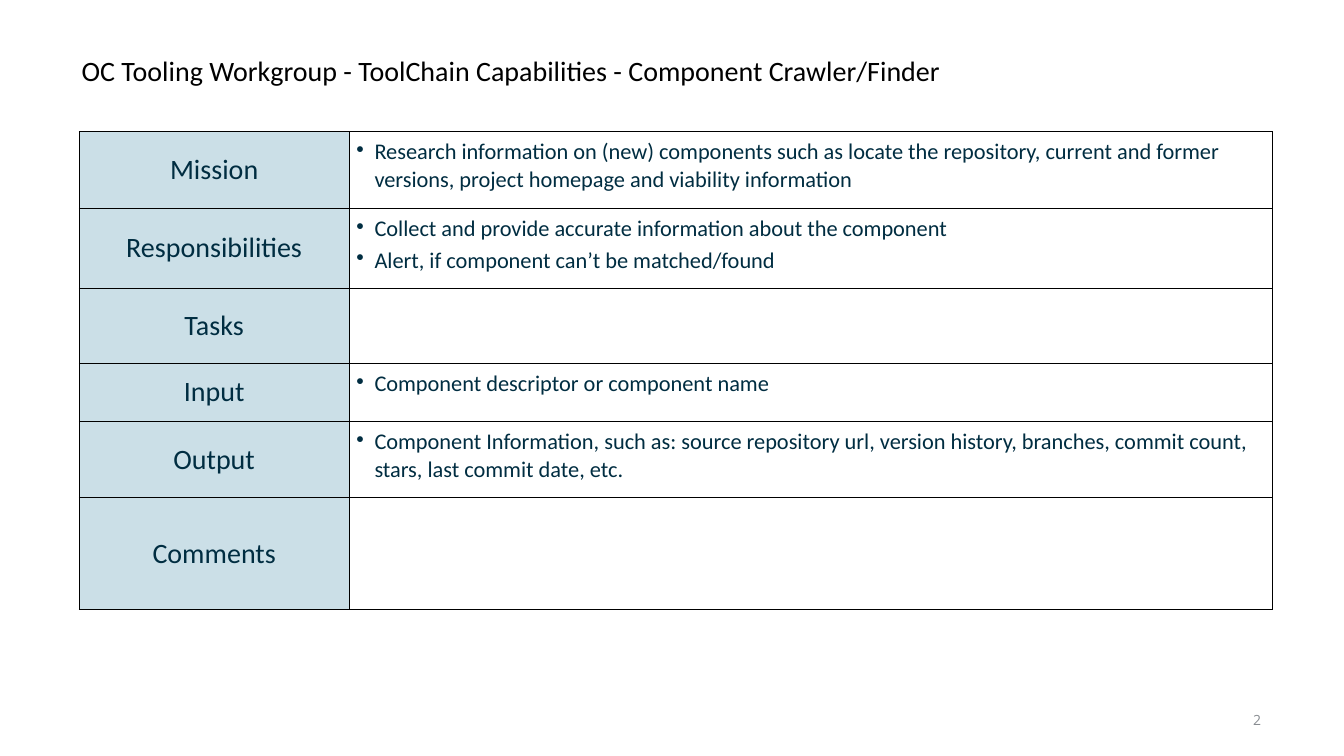
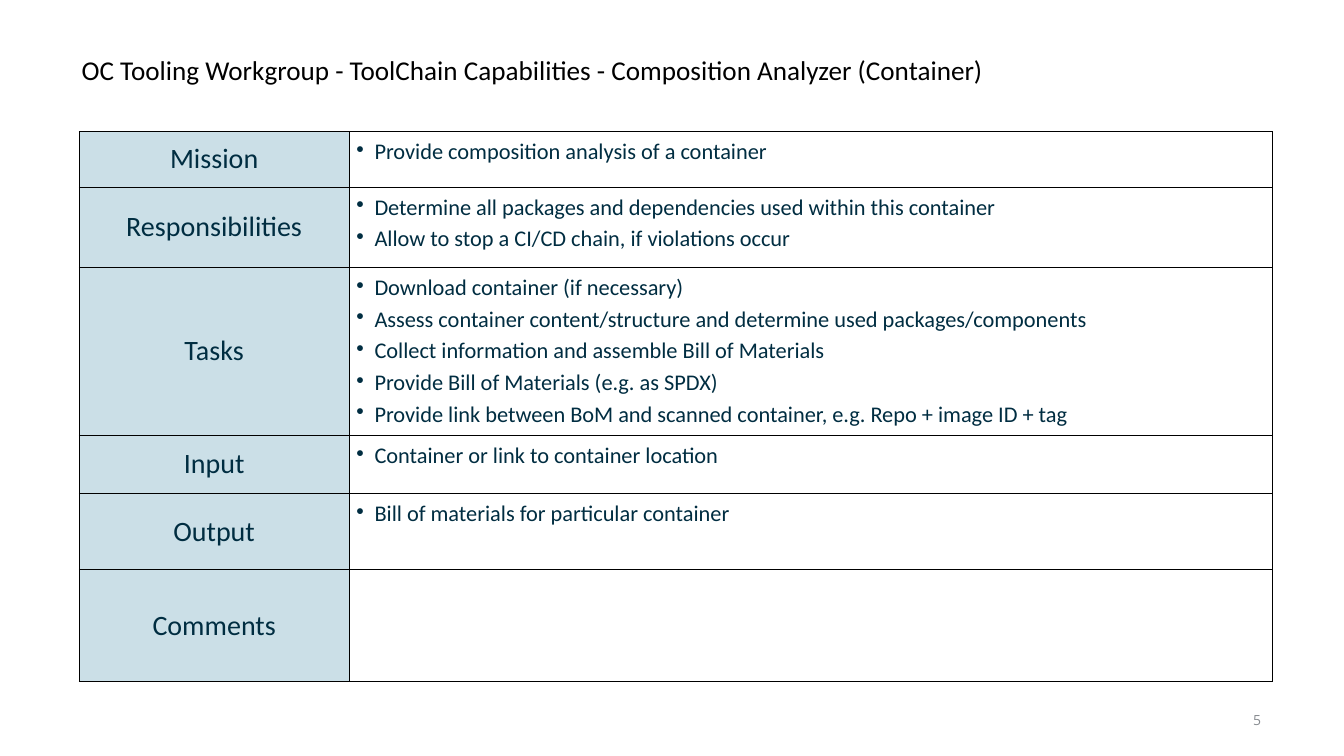
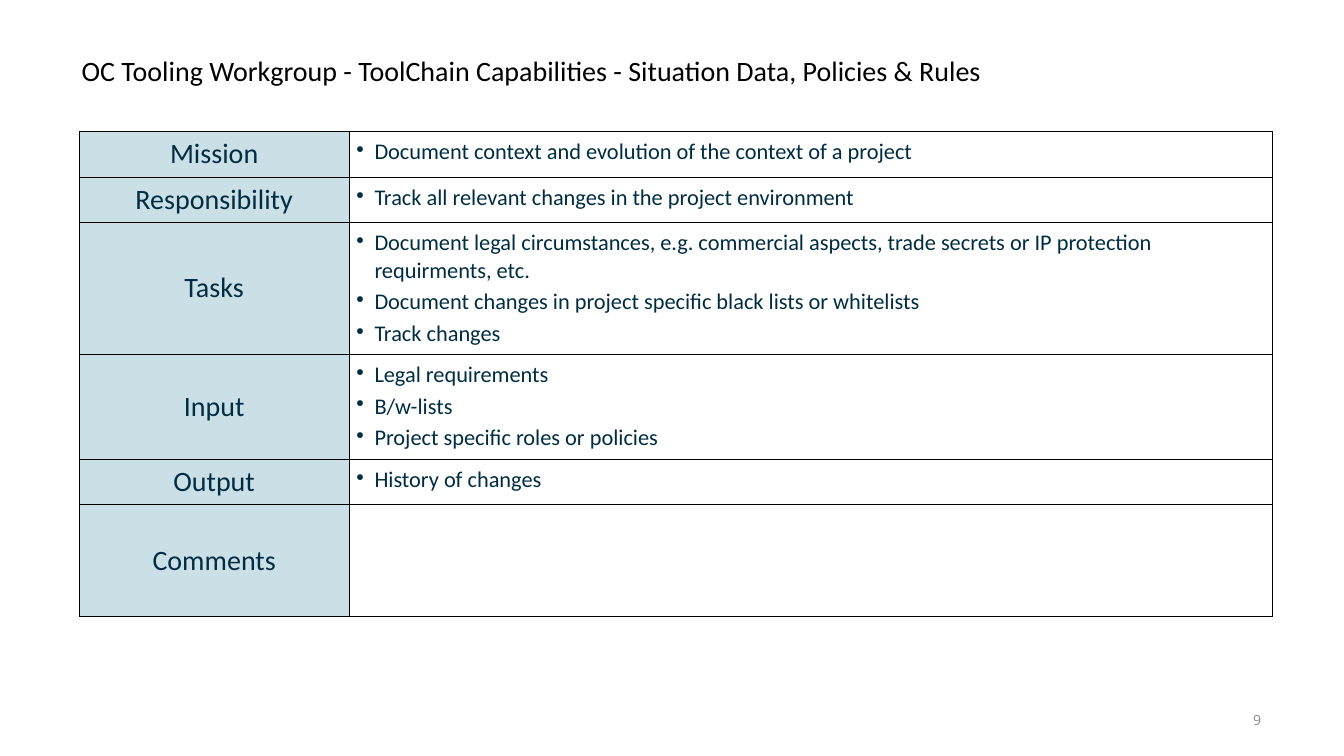
from dataclasses import dataclass

import lxml.etree
import pptx
import pptx.dml.color
import pptx.enum.text
import pptx.oxml.ns
import pptx.util

Pt = pptx.util.Pt
Align = pptx.enum.text.PP_ALIGN
Anchor = pptx.enum.text.MSO_ANCHOR
AutoSize = pptx.enum.text.MSO_AUTO_SIZE

BLACK = "000000"
NAVY = "002D41"
PALE_BLUE = "CBDFE7"
GRAY = "888C91"
BODY_FONT = "Calibri"
NUMBER_FONT = "Open Sans"
TITLE_PREFIX = "OC Tooling Workgroup - ToolChain Capabilities - "
BOX_INSET = 3.6
CELL_INSET = 5.04
BULLET_INDENT = 13
TABLE_LEFT, TABLE_TOP = 56.5, 94
COLUMN_WIDTHS = (193, 659.5)


@dataclass
class Area:
    left: float
    top: float
    width: float
    height: float


@dataclass
class TextStyle:
    size: float
    color: str
    font: str = BODY_FONT


@dataclass
class Row:
    label: str
    height: float
    bullets: tuple[str, ...] = ()


@dataclass
class Capability:
    name: str
    number: int
    rows: list[Row]
    title_size: float = 20


TITLE_AREA = Area(54.72, 28.08, 764.64, 46.8)
NUMBER_AREA = Area(890.64, 504, 13.68, 20.88)
LABEL_STYLE = TextStyle(20, NAVY)
BULLET_STYLE = TextStyle(16, NAVY)
NUMBER_STYLE = TextStyle(10, GRAY, NUMBER_FONT)


def rgb(color: str) -> pptx.dml.color.RGBColor:
    return pptx.dml.color.RGBColor.from_string(color)


def add_span(para, text: str, style: TextStyle) -> None:
    span = para.add_run()
    span.text = text
    span.font.size = Pt(style.size)
    span.font.name = style.font
    span.font.color.rgb = rgb(style.color)


def set_insets(target, inset: float) -> None:
    target.margin_left = target.margin_right = Pt(inset)
    target.margin_top = target.margin_bottom = Pt(inset)


def add_text_box(page, area: Area, text: str, style: TextStyle, wrap: bool):
    box = page.shapes.add_textbox(Pt(area.left), Pt(area.top), Pt(area.width), Pt(area.height))
    frame = box.text_frame
    frame.word_wrap = wrap
    frame.vertical_anchor = Anchor.MIDDLE
    set_insets(frame, BOX_INSET)
    add_span(frame.paragraphs[0], text, style)
    return frame


def add_title(page, capability: Capability) -> None:
    style = TextStyle(capability.title_size, BLACK)
    frame = add_text_box(page, TITLE_AREA, TITLE_PREFIX + capability.name, style, True)
    frame.paragraphs[0].line_spacing = 0.9


def add_page_number(page, number: int) -> None:
    frame = add_text_box(page, NUMBER_AREA, str(number), NUMBER_STYLE, False)
    frame.auto_size = AutoSize.SHAPE_TO_FIT_TEXT
    frame.paragraphs[0].alignment = Align.RIGHT


def add_borders(cell) -> None:
    qn = pptx.oxml.ns.qn
    properties = cell._tc.get_or_add_tcPr()
    for side in ("a:lnL", "a:lnR", "a:lnT", "a:lnB"):
        line = lxml.etree.SubElement(properties, qn(side), w=str(Pt(0.5)))
        fill = lxml.etree.SubElement(line, qn("a:solidFill"))
        lxml.etree.SubElement(fill, qn("a:srgbClr"), val=BLACK)


def fill_label(cell, label: str) -> None:
    add_borders(cell)
    cell.fill.solid()
    cell.fill.fore_color.rgb = rgb(PALE_BLUE)
    cell.vertical_anchor = Anchor.MIDDLE
    set_insets(cell, 0)
    para = cell.text_frame.paragraphs[0]
    para.alignment = Align.CENTER
    add_span(para, label, LABEL_STYLE)


def fill_bullets(cell, bullets: tuple[str, ...]) -> None:
    add_borders(cell)
    cell.fill.background()
    set_insets(cell, CELL_INSET)
    frame = cell.text_frame
    for index, text in enumerate(bullets):
        para = frame.add_paragraph() if index else frame.paragraphs[0]
        para.space_before = Pt(3)
        properties = para._p.get_or_add_pPr()
        properties.set("marL", str(Pt(BULLET_INDENT)))
        properties.set("indent", str(-Pt(BULLET_INDENT)))
        lxml.etree.SubElement(properties, pptx.oxml.ns.qn("a:buChar"), char="•")
        add_span(para, text, BULLET_STYLE)


def add_capability_table(page, rows: list[Row]) -> None:
    height = sum(row.height for row in rows)
    table = page.shapes.add_table(
        len(rows), len(COLUMN_WIDTHS),
        Pt(TABLE_LEFT), Pt(TABLE_TOP), Pt(sum(COLUMN_WIDTHS)), Pt(height),
    ).table
    table.first_row = False
    table.horz_banding = False
    for column, width in zip(table.columns, COLUMN_WIDTHS):
        column.width = Pt(width)
    for index, row in enumerate(rows):
        table.rows[index].height = Pt(row.height)
        fill_label(table.cell(index, 0), row.label)
        fill_bullets(table.cell(index, 1), row.bullets)


CAPABILITIES = [
    Capability("Component Crawler/Finder", 2, [
        Row("Mission", 54.7, (
            "Research information on (new) components such as locate the repository, "
            "current and former versions, project homepage and viability information",
        )),
        Row("Responsibilities", 57.5, (
            "Collect and provide accurate information about the component",
            "Alert, if component can’t be matched/found",
        )),
        Row("Tasks", 53.3),
        Row("Input", 41.5, ("Component descriptor or component name",)),
        Row("Output", 54.5, (
            "Component Information, such as: source repository url, version history, "
            "branches, commit count, stars, last commit date, etc.",
        )),
        Row("Comments", 80),
    ]),
    Capability("Composition Analyzer (Container)", 5, [
        Row("Mission", 39.5, ("Provide composition analysis of a container",)),
        Row("Responsibilities", 57.5, (
            "Determine all packages and dependencies used within this container",
            "Allow to stop a CI/CD chain, if violations occur",
        )),
        Row("Tasks", 120, (
            "Download container (if necessary)",
            "Assess container content/structure and determine used packages/components",
            "Collect information and assemble Bill of Materials",
            "Provide Bill of Materials (e.g. as SPDX)",
            "Provide link between BoM and scanned container, e.g. Repo + image ID + tag",
        )),
        Row("Input", 41.5, ("Container or link to container location",)),
        Row("Output", 54.5, ("Bill of materials for particular container",)),
        Row("Comments", 80),
    ], title_size=19.4),
    Capability("Situation Data, Policies & Rules", 9, [
        Row("Mission", 32.5, ("Document context and evolution of the context of a project",)),
        Row("Responsibility", 32.5, ("Track all relevant changes in the project environment",)),
        Row("Tasks", 94, (
            "Document legal circumstances, e.g. commercial aspects, trade secrets "
            "or IP protection requirments, etc.",
            "Document changes in project specific black lists or whitelists",
            "Track changes",
        )),
        Row("Input", 75, (
            "Legal requirements",
            "B/w-lists",
            "Project specific roles or policies",
        )),
        Row("Output", 32.5, ("History of changes",)),
        Row("Comments", 80),
    ]),
]


def main() -> None:
    deck = pptx.Presentation()
    deck.slide_width = Pt(960)
    deck.slide_height = Pt(540)
    for capability in CAPABILITIES:
        page = deck.slides.add_slide(deck.slide_layouts[6])
        add_title(page, capability)
        add_page_number(page, capability.number)
        add_capability_table(page, capability.rows)
    deck.save("out.pptx")


main()
